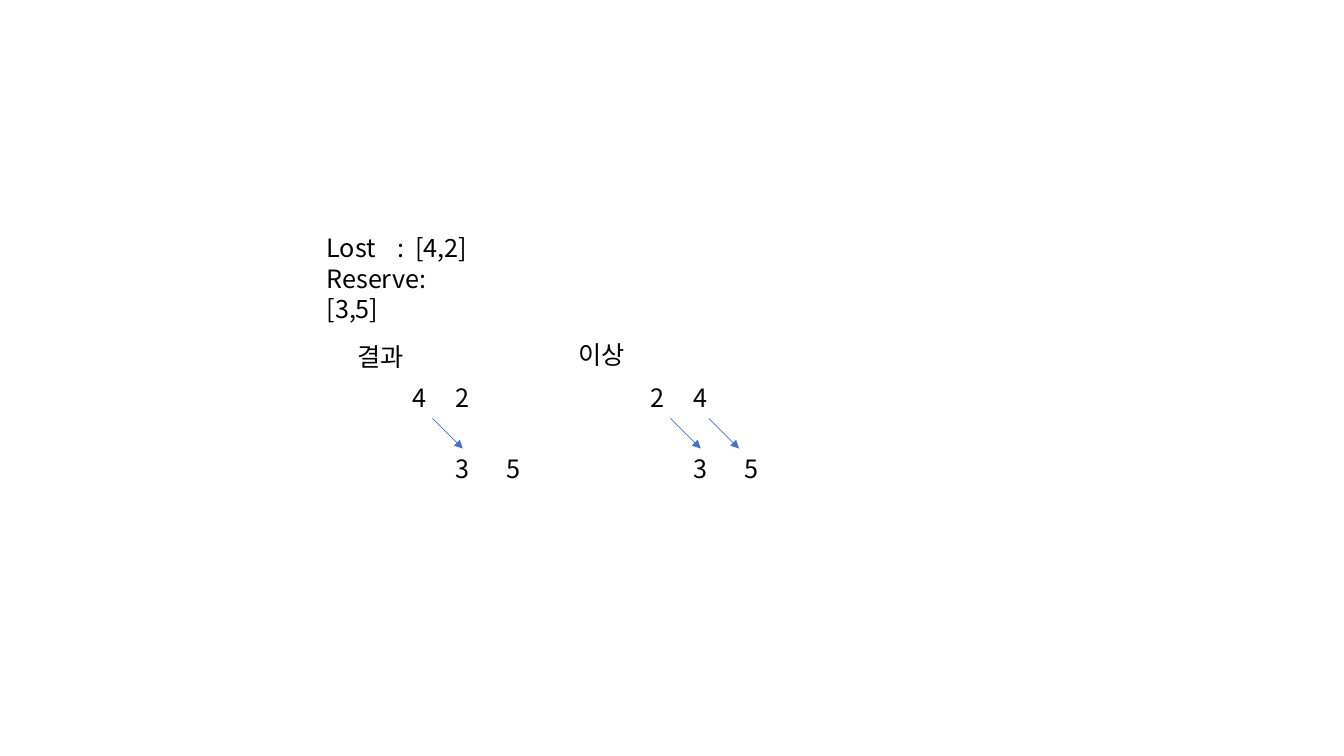
import pptx
import pptx.util
import pptx.dml.color
import pptx.enum.shapes
import pptx.oxml
import pptx.oxml.ns
from lxml import etree

Inches = pptx.util.Inches
BLACK = pptx.dml.color.RGBColor(0x00, 0x00, 0x00)
BLUE = pptx.dml.color.RGBColor(0x44, 0x72, 0xC4)
FONT = "Noto Sans CJK KR"
DIGIT = 0.34  # width of a digit box
ROW = 0.4     # height of a one-line box


def add_text(slide, x, y, w, h, *lines):
    box = slide.shapes.add_textbox(Inches(x), Inches(y), Inches(w), Inches(h))
    frame = box.text_frame
    frame.word_wrap = True
    frame.text = "\n".join(lines)
    for para in frame.paragraphs:
        para.font.size = pptx.util.Pt(18)
        para.font.name = FONT
        para.font.color.rgb = BLACK
        # East Asian typeface
        font = para.font._element
        etree.SubElement(font, pptx.oxml.ns.qn("a:ea"), typeface=FONT)
    return frame


def add_arrow(slide, x, y, size):
    kind = pptx.enum.shapes.MSO_CONNECTOR.STRAIGHT
    line = slide.shapes.add_connector(
        kind, Inches(x), Inches(y), Inches(x + size), Inches(y + size))
    line.line.color.rgb = BLUE
    line.line.width = pptx.util.Pt(0.5)
    # Arrowhead, and no shadow
    ln = line.line._get_or_add_ln()
    etree.SubElement(ln, pptx.oxml.ns.qn("a:tailEnd"), type="triangle")
    etree.SubElement(line._element.spPr, pptx.oxml.ns.qn("a:effectLst"))


def add_input(slide, x, y, w, h):
    frame = add_text(slide, x, y, w, h,
                     "Lost\t:\t[4,2]", "Reserve: [3,5]")
    # Tab stops line up the colon and the list
    props = frame.paragraphs[0]._p.get_or_add_pPr()
    tabs = etree.Element(pptx.oxml.ns.qn("a:tabLst"))
    for stop in (0.7, 0.88):
        etree.SubElement(tabs, pptx.oxml.ns.qn("a:tab"),
                         pos=str(Inches(stop)), algn="l")
    props.insert(0, tabs)


def add_match(slide, x, y, lost, arrows):
    # Lost numbers above, reserve numbers below
    low = y + 0.71
    for digit, dx in zip(lost, (0, 0.43)):
        add_text(slide, x + dx, y, DIGIT, ROW, digit)
    for digit, dx in zip("35", (0.43, 0.94)):
        add_text(slide, x + dx, low, DIGIT, ROW, digit)
    # Who borrows from whom
    for dx in arrows:
        add_arrow(slide, x + dx, y + 0.41, 0.3)


deck = pptx.Presentation()
deck.slide_width = Inches(13.33)
deck.slide_height = Inches(7.5)
page = deck.slides.add_slide(deck.slide_layouts[6])

# Input lists
add_input(page, 3.14, 2.26, 1.75, 0.71)

# Actual result
add_text(page, 3.45, 3.34, 0.71, ROW, "결과")
add_match(page, 3.99, 3.74, "42", [0.3])

# Ideal result
add_text(page, 5.64, 3.32, 0.71, ROW, "이상")
add_match(page, 6.35, 3.74, "24", [0.3, 0.68])

deck.save("out.pptx")
